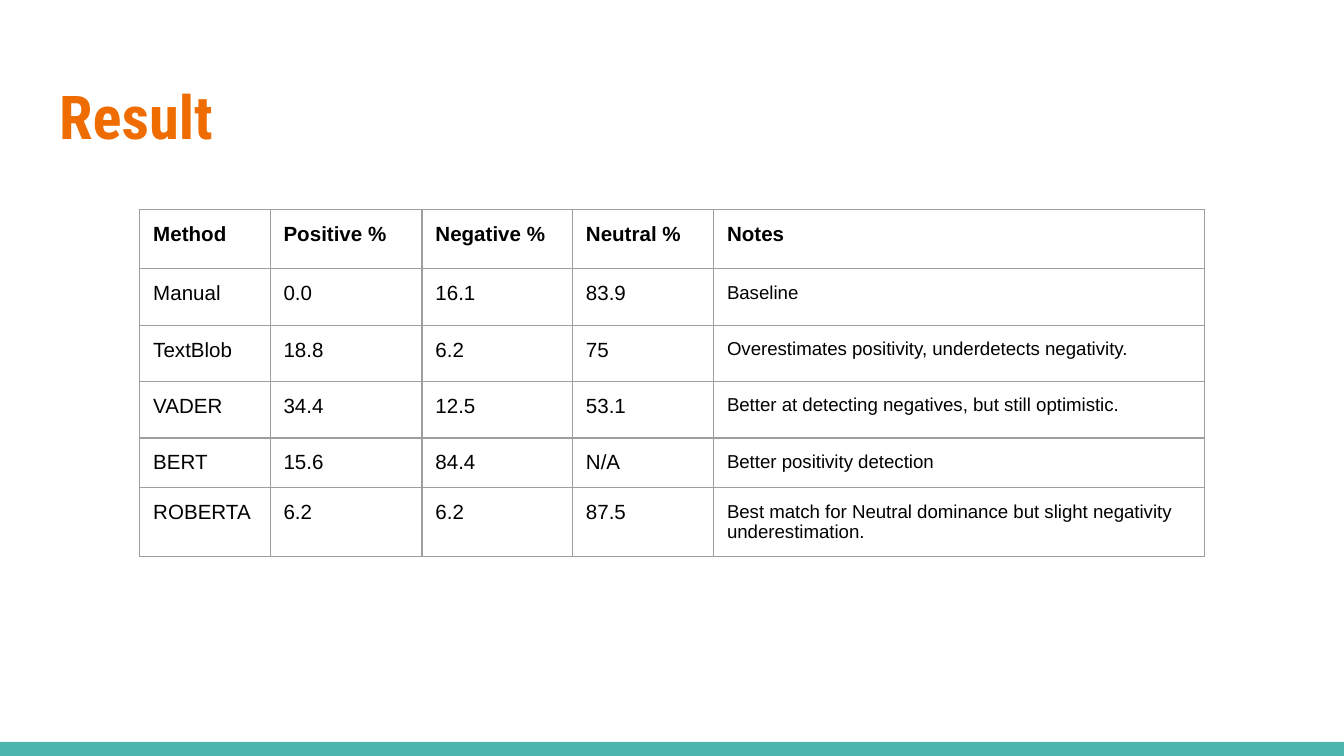
import pptx
import pptx.util
import pptx.dml.color
import pptx.enum.shapes
import pptx.enum.text
import pptx.oxml
import pptx.oxml.ns

Inches = pptx.util.Inches
GRID = "9E9E9E"
WIDTHS = [0.97, 1.13, 1.12, 1.05, 3.65]
HEIGHTS = [0.44, 0.42, 0.42, 0.42, 0.37, 0.51]
ROWS = [
    ["Method", "Positive %", "Negative %", "Neutral %", "Notes"],
    ["Manual", "0.0", "16.1", "83.9", "Baseline"],
    ["TextBlob", "18.8", "6.2", "75",
     "Overestimates positivity, underdetects negativity."],
    ["VADER", "34.4", "12.5", "53.1",
     "Better at detecting negatives, but still optimistic."],
    ["BERT", "15.6", "84.4", "N/A", "Better positivity detection"],
    ["ROBERTA", "6.2", "6.2", "87.5",
     "Best match for Neutral dominance but slight negativity underestimation."],
]


def color(code):
    return pptx.dml.color.RGBColor.from_string(code)


def add_run(para, text, size, face, code, bold):
    run = para.add_run()
    run.text = text
    run.font.size = pptx.util.Pt(size)
    run.font.name = face
    run.font.bold = bold
    run.font.color.rgb = color(code)


def add_bar(slide, left, top, width, height):
    bar = slide.shapes.add_shape(
        pptx.enum.shapes.MSO_SHAPE.RECTANGLE,
        Inches(left), Inches(top), Inches(width), Inches(height))
    bar.shadow.inherit = False
    bar.fill.solid()
    bar.fill.fore_color.rgb = color("4DB6AC")
    bar.line.fill.background()


def set_title(slide, left, top, width, height):
    title = slide.shapes.title
    title.left, title.top = Inches(left), Inches(top)
    title.width, title.height = Inches(width), Inches(height)
    frame = title.text_frame
    frame.margin_left = frame.margin_right = Inches(0.1)
    frame.margin_top = frame.margin_bottom = Inches(0.1)
    frame.word_wrap = True
    frame.auto_size = pptx.enum.text.MSO_AUTO_SIZE.NONE
    frame.vertical_anchor = pptx.enum.text.MSO_ANCHOR.TOP
    para = frame.paragraphs[0]
    para.alignment = pptx.enum.text.PP_ALIGN.LEFT
    add_run(para, "Result", 32.4, "Roboto Condensed", "EF6C00", True)


def set_edges(cell):
    props = cell._tc.get_or_add_tcPr()
    for spot, side in enumerate(["lnL", "lnR", "lnT", "lnB"]):
        edge = pptx.oxml.parse_xml(
            f'<a:{side} {pptx.oxml.ns.nsdecls("a")} w="{pptx.util.Pt(0.75)}">'
            f'<a:solidFill><a:srgbClr val="{GRID}"/></a:solidFill></a:{side}>')
        props.insert(spot, edge)


def fill_cell(cell, text, size, bold):
    cell.margin_left = cell.margin_right = Inches(0.1)
    cell.margin_top = cell.margin_bottom = Inches(0.1)
    cell.fill.background()
    set_edges(cell)
    add_run(cell.text_frame.paragraphs[0], text, size, "Arial", "000000", bold)


def add_grid(slide, left, top):
    table = slide.shapes.add_table(
        len(ROWS), len(WIDTHS), Inches(left), Inches(top),
        Inches(sum(WIDTHS)), Inches(sum(HEIGHTS))).table
    table.horz_banding = False
    for col, width in zip(table.columns, WIDTHS):
        col.width = Inches(width)
    for row, height in zip(table.rows, HEIGHTS):
        row.height = Inches(height)
    for r, line in enumerate(ROWS):
        for c, text in enumerate(line):
            note = r > 0 and c == len(WIDTHS) - 1
            fill_cell(table.cell(r, c), text, 10 if note else 11, r == 0)


def main():
    deck = pptx.Presentation()
    deck.slide_width = Inches(10)
    deck.slide_height = deck.slide_width * 9 // 16
    slide = deck.slides.add_slide(deck.slide_layouts[5])
    slide.background.fill.solid()
    slide.background.fill.fore_color.rgb = color("FFFFFF")
    add_bar(slide, 0, 5.52, 10, 0.11)
    set_title(slide, 0.34, 0.49, 9.32, 0.77)
    add_grid(slide, 1.04, 1.56)
    deck.save("out.pptx")


if __name__ == "__main__":
    main()
